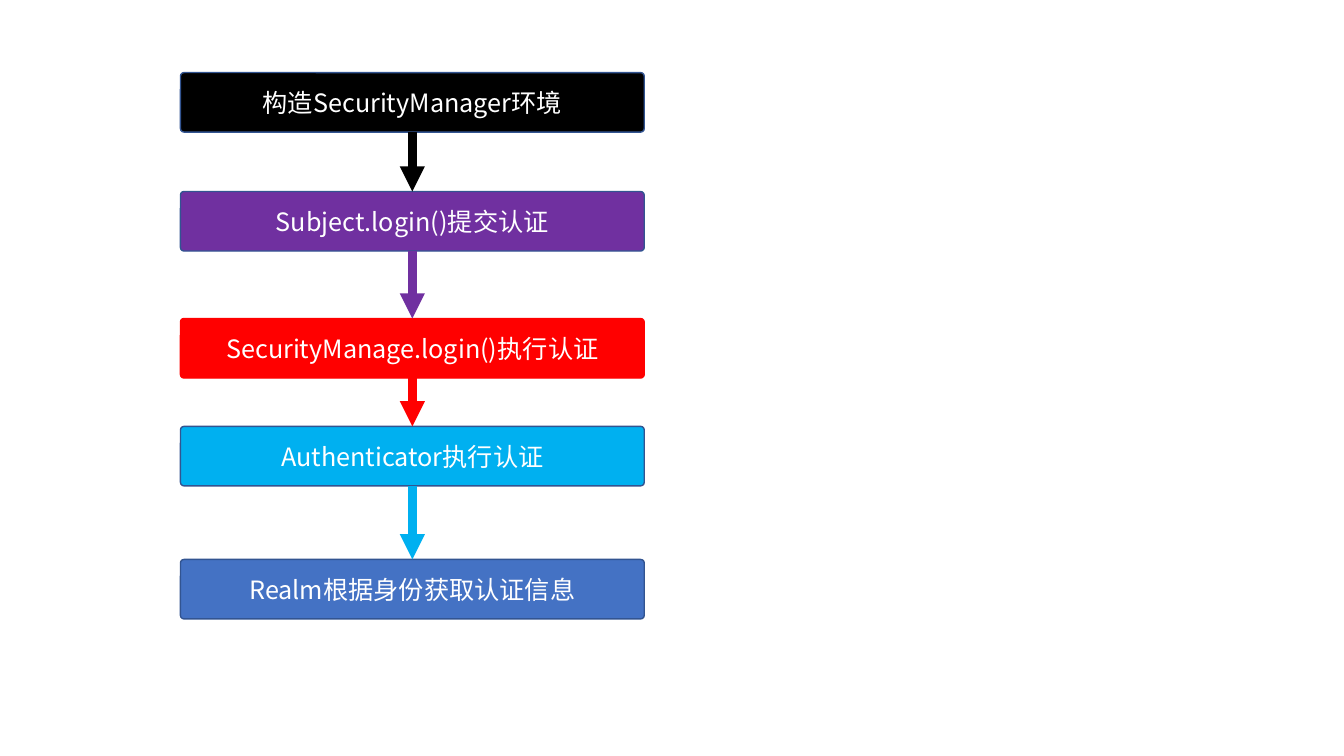
from itertools import pairwise

from lxml.etree import SubElement
from pptx import Presentation
from pptx.dml.color import RGBColor
from pptx.enum.shapes import MSO_CONNECTOR as Connector, MSO_SHAPE as Shape
from pptx.enum.text import MSO_ANCHOR as Anchor, PP_ALIGN as Align
from pptx.oxml.ns import qn
from pptx.util import Inches, Pt

FONT = "Noto Sans CJK SC"
COLORS = {
    "black": "000000",
    "purple": "7030A0",
    "red": "FF0000",
    "cyan": "00B0F0",
    "blue": "4472C4",
    "outline": "325491",
    "text": "FFFFFF",
}
# Label, top in inches, fill, outline
STEPS = [
    ("构造SecurityManager环境", 0.72, "black", "outline"),
    ("Subject.login()提交认证", 1.9, "purple", "outline"),
    ("SecurityManage.login()执行认证", 3.16, "red", "red"),
    ("Authenticator执行认证", 4.23, "cyan", "outline"),
    ("Realm根据身份获取认证信息", 5.55, "blue", "outline"),
]
STEP_LEFT, STEP_WIDTH, STEP_HEIGHT = 1.79, 4.6, 0.59


def rgb(name):
    return RGBColor.from_string(COLORS[name])


def add_step(slide, label, box, fill, outline):
    shape = slide.shapes.add_shape(
        Shape.ROUNDED_RECTANGLE, *(Inches(length) for length in box))
    shape.adjustments[0] = 0.06
    shape.shadow.inherit = False
    shape.fill.solid()
    shape.fill.fore_color.rgb = rgb(fill)
    shape.line.color.rgb = rgb(outline)
    shape.line.width = Pt(1)

    shape.text_frame.vertical_anchor = Anchor.MIDDLE
    paragraph = shape.text_frame.paragraphs[0]
    paragraph.alignment = Align.CENTER
    run = paragraph.add_run()
    run.text = label
    run.font.size = Pt(18)
    run.font.name = FONT
    run.font.color.rgb = rgb("text")
    SubElement(run.font._element, qn("a:ea"), typeface=FONT)
    return shape


def add_arrow(slide, upper, lower, color):
    """Join the bottom of the upper step to the top of the lower one."""
    arrow = slide.shapes.add_connector(Connector.STRAIGHT, 0, 0, 0, 0)
    arrow.begin_connect(upper, 2)
    arrow.end_connect(lower, 0)
    arrow.line.color.rgb = rgb(color)
    arrow.line.width = Pt(6)
    SubElement(arrow.line._get_or_add_ln(), qn("a:tailEnd"), type="triangle")
    SubElement(arrow._element.spPr, qn("a:effectLst"))


def add_authentication_flow(slide, left, width, height):
    shapes = [
        add_step(slide, label, (left, top, width, height), fill, outline)
        for label, top, fill, outline in STEPS
    ]
    for (upper, lower), (_, _, fill, _) in zip(pairwise(shapes), STEPS):
        add_arrow(slide, upper, lower, fill)


def main():
    presentation = Presentation()
    presentation.slide_width = Inches(13.33)
    presentation.slide_height = Inches(7.5)
    slide = presentation.slides.add_slide(presentation.slide_layouts[6])
    add_authentication_flow(slide, STEP_LEFT, STEP_WIDTH, STEP_HEIGHT)
    presentation.save("out.pptx")


if __name__ == "__main__":
    main()
